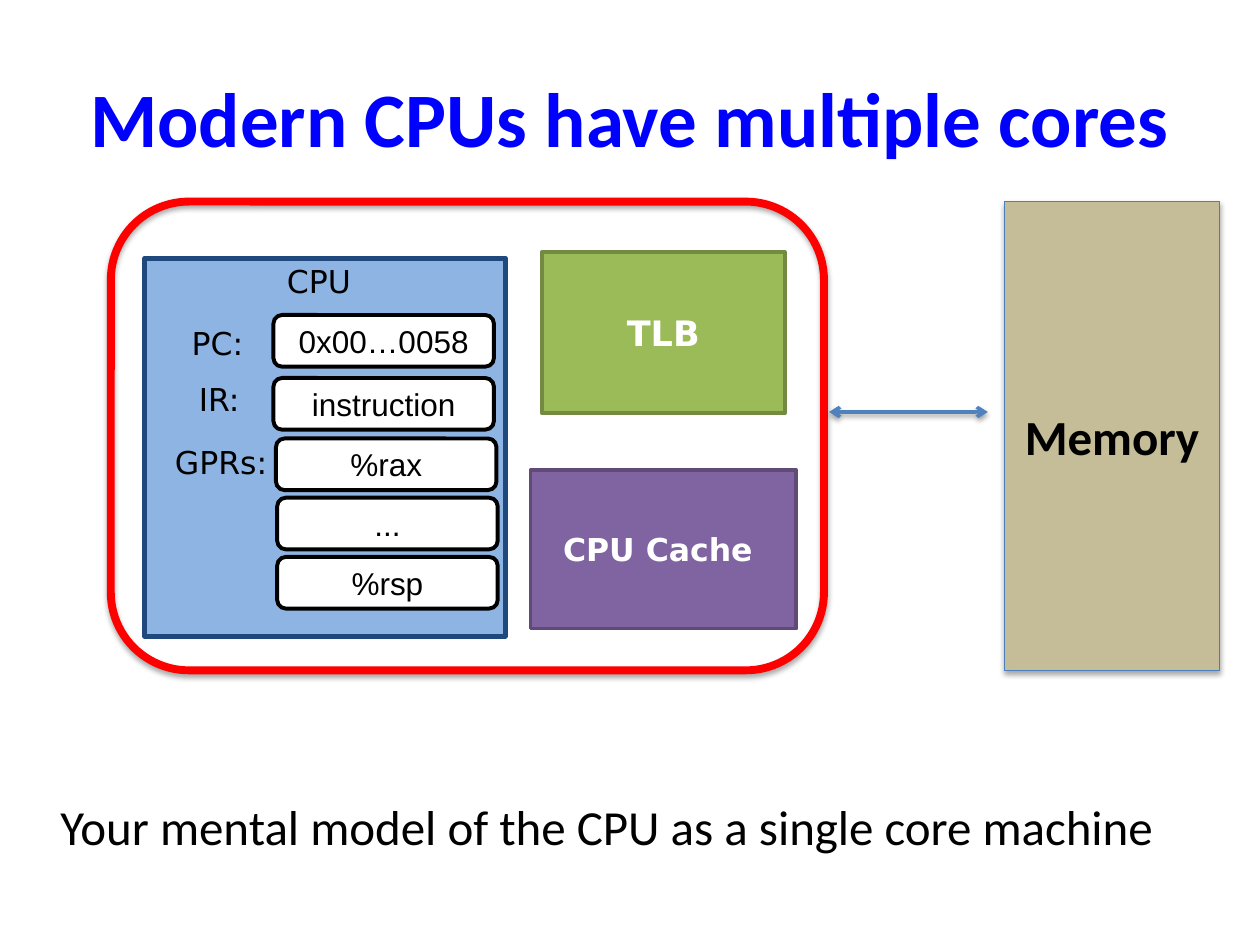
import pptx
import pptx.dml.color
import pptx.enum.shapes
import pptx.enum.text
import pptx.oxml
import pptx.oxml.ns
import pptx.util

PX = pptx.util.Inches(1) // 100
KINDS = pptx.enum.shapes.MSO_SHAPE
ANCHORS = pptx.enum.text.MSO_ANCHOR
ALIGNS = pptx.enum.text.PP_ALIGN
FITS = pptx.enum.text.MSO_AUTO_SIZE

THEME = {
    "title": {"name": "Calibri", "size": 44, "bold": True, "color": "0000FF"},
    "caption": {"name": "Calibri", "size": 28, "bold": False, "color": "000000"},
    "memory": {"name": "Calibri", "size": 28, "bold": True, "color": "000000"},
    "label": {"name": "DejaVu Sans", "size": 18, "bold": False, "color": "000000"},
    "register": {"name": "Arial", "size": 18, "bold": False, "color": "000000"},
    "tlb": {"name": "DejaVu Sans", "size": 20, "bold": True, "color": "FFFFFF"},
    "cache": {"name": "DejaVu Sans", "size": 18, "bold": True, "color": "FFFFFF"},
    "cpu_box": ("8EB4E3", "1F497D", 3),
    "register_box": ("FFFFFF", "000000", 2.25),
    "tlb_box": ("9BBB59", "738A42", 2),
    "cache_box": ("8064A2", "5F4A78", 2),
    "chip_box": (None, "FF0000", 4.5),
    "memory_box": ("C4BD97", "4B7EBC", 0.75),
    "bus": ("4F81BD", 2),
    "box_shadow": ("000000", 35, 3.1, 1.8),
    "bus_shadow": ("000000", 38, 3.1, 1.6),
}


def rgb(color):
    return pptx.dml.color.RGBColor.from_string(color)


def emu(*lengths):
    return [length * PX for length in lengths]


def write(frame, text, style, **settings):
    layout = {"word_wrap": True, "vertical_anchor": ANCHORS.MIDDLE, **settings}
    align = layout.pop("alignment", ALIGNS.CENTER)
    for name, value in layout.items():
        setattr(frame, name, value)
    paragraph = frame.paragraphs[0]
    paragraph.alignment = align
    run = paragraph.add_run()
    run.text = text
    values = dict(THEME[style])
    run.font.color.rgb = rgb(values.pop("color"))
    values["size"] = pptx.util.Pt(values["size"])
    for name, value in values.items():
        setattr(run.font, name, value)


def add_label(slide, box, text, style, **settings):
    label = slide.shapes.add_textbox(*emu(*box))
    write(label.text_frame, text, style, **settings)


def add_shadow(properties, style):
    color, opacity, blur, distance = THEME[style]
    for old in properties.findall(pptx.oxml.ns.qn("a:effectLst")):
        properties.remove(old)
    properties.append(pptx.oxml.parse_xml(
        f'<a:effectLst {pptx.oxml.ns.nsdecls("a")}>'
        f'<a:outerShdw blurRad="{pptx.util.Pt(blur)}" dist="{pptx.util.Pt(distance)}" '
        f'dir="5400000" rotWithShape="0"><a:srgbClr val="{color}">'
        f'<a:alpha val="{opacity * 1000}"/></a:srgbClr></a:outerShdw></a:effectLst>'))


def add_box(slide, kind, box, style, text=None, font=None, shadow=None):
    fill, edge, weight = THEME[style]
    block = slide.shapes.add_shape(kind, *emu(*box))
    if fill:
        block.fill.solid()
        block.fill.fore_color.rgb = rgb(fill)
    else:
        block.fill.background()
    block.line.color.rgb = rgb(edge)
    block.line.width = pptx.util.Pt(weight)
    block.shadow.inherit = False
    if shadow:
        add_shadow(block._element.spPr, shadow)
    if text:
        write(block.text_frame, text, font)


def add_core(slide, box):
    left, top = box[:2]
    add_box(slide, KINDS.RECTANGLE, box, "cpu_box")
    labels = [("CPU", 102, -2, 72), ("PC:", 25, 47, 65),
              ("IR:", 29, 92, 60), ("GPRs:", 12, 142, 97)]
    for text, x, y, width in labels:
        add_label(slide, (left + x, top + y, width, 40), text, "label", word_wrap=False,
                  vertical_anchor=ANCHORS.TOP, auto_size=FITS.SHAPE_TO_FIT_TEXT)
    registers = [("0x00…0058", 102, 45), ("instruction", 102, 95),
                 ("%rax", 104, 143), ("...", 105, 190), ("%rsp", 105, 237)]
    for text, x, y in registers:
        add_box(slide, KINDS.ROUNDED_RECTANGLE, (left + x, top + y, 175, 41),
                "register_box", text, "register")


def add_chip(slide, box):
    left, top = box[:2]
    add_core(slide, (left + 27, top + 45, 286, 300))
    add_box(slide, KINDS.RECTANGLE, (left + 342, top + 40, 193, 128), "tlb_box", "TLB", "tlb")
    add_box(slide, KINDS.RECTANGLE, (left + 333, top + 213, 211, 126),
            "cache_box", "CPU Cache ", "cache")
    add_box(slide, KINDS.ROUNDED_RECTANGLE, box, "chip_box", shadow="box_shadow")


def add_memory(slide, box):
    add_box(slide, KINDS.RECTANGLE, box, "memory_box", "Memory", "memory", "box_shadow")


def add_bus(slide, start, end, y):
    color, weight = THEME["bus"]
    bus = slide.shapes.add_connector(
        pptx.enum.shapes.MSO_CONNECTOR.STRAIGHT, *emu(start, y, end, y))
    bus.line.color.rgb = rgb(color)
    bus.line.width = pptx.util.Pt(weight)
    for tip in ("headEnd", "tailEnd"):
        bus.line._get_or_add_ln().append(pptx.oxml.parse_xml(
            f'<a:{tip} {pptx.oxml.ns.nsdecls("a")} type="arrow"/>'))
    add_shadow(bus._element.spPr, "bus_shadow")


def main():
    deck = pptx.Presentation()
    deck.slide_width, deck.slide_height = emu(1000, 750)
    slide = deck.slides.add_slide(deck.slide_layouts[6])
    add_label(slide, (50, 30, 900, 125), "Modern CPUs have multiple cores", "title")
    add_chip(slide, (88, 160, 566, 372))
    add_memory(slide, (797, 160, 171, 372))
    add_bus(slide, 658, 784, 327)
    add_label(slide, (38, 627, 912, 57),
              "Your mental model of the CPU as a single core machine", "caption",
              vertical_anchor=ANCHORS.TOP, alignment=ALIGNS.LEFT,
              auto_size=FITS.SHAPE_TO_FIT_TEXT)
    deck.save("out.pptx")


if __name__ == "__main__":
    main()
